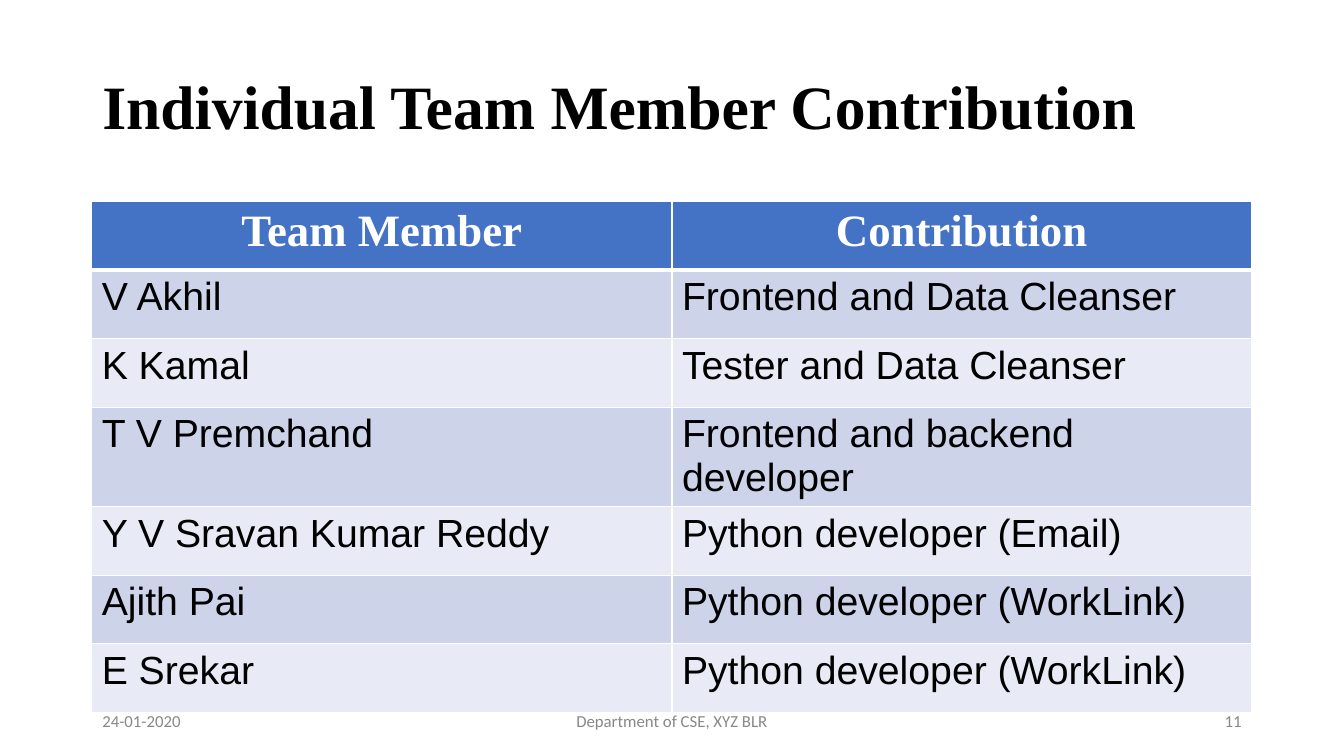
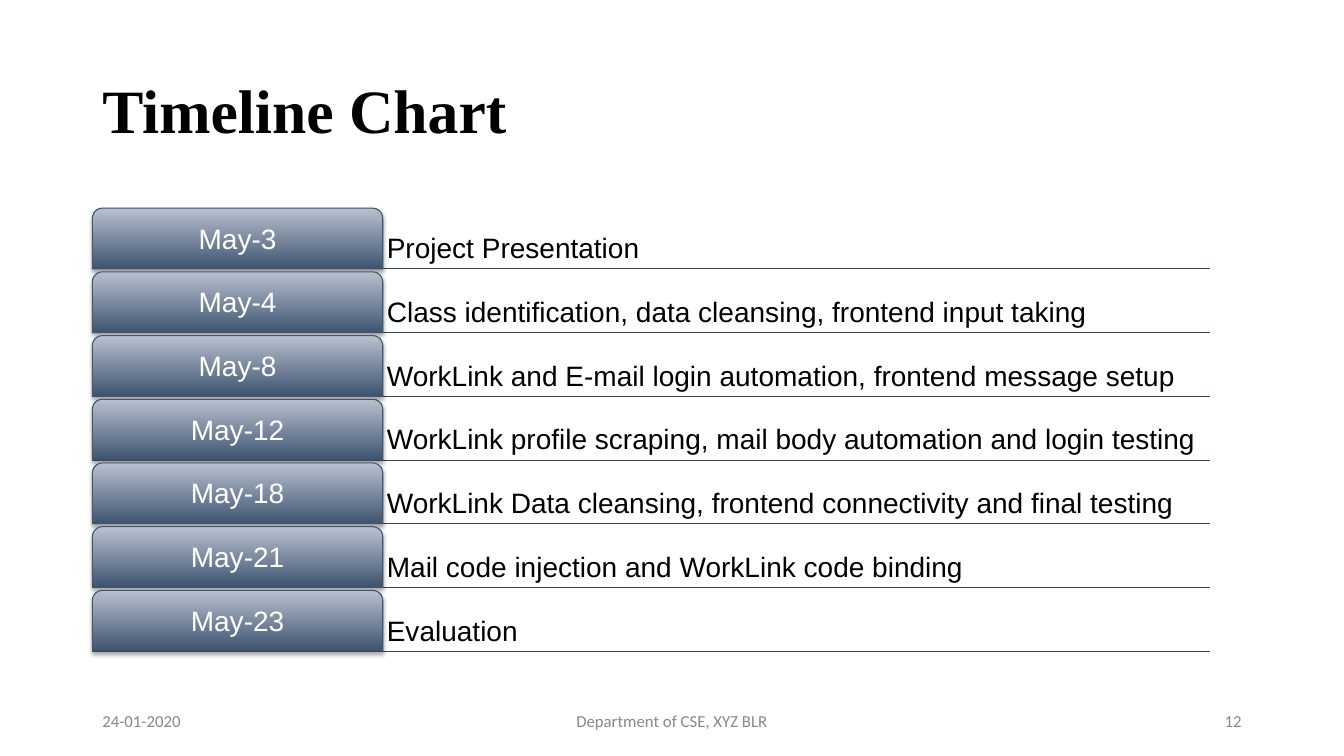
import pptx
import pptx.dml.color
import pptx.enum.dml
import pptx.enum.shapes
import pptx.enum.text
import pptx.oxml
import pptx.oxml.ns
import pptx.util
from dataclasses import dataclass

Pt = pptx.util.Pt
ALIGN = pptx.enum.text.PP_ALIGN
ANCHOR = pptx.enum.text.MSO_ANCHOR
SHAPE = pptx.enum.shapes.MSO_SHAPE
NS = pptx.oxml.ns.nsdecls("a")


@dataclass(frozen=True)
class Theme:
    black: str = "000000"
    white: str = "FFFFFF"
    grey: str = "888888"
    head: str = "4472C4"
    bands: tuple = ("CDD4EA", "E8EBF5")
    fade: tuple = ("3E5370", "B8C1CF")
    edge: str = "44546A"
    rule: str = "364355"
    serif: str = "Times New Roman"
    sans: str = "Arial"
    small: str = "Calibri"
    left: float = 66
    width: float = 828


THEME = Theme()
TITLE = {"name": THEME.serif, "size": Pt(44), "bold": True, "color": THEME.black}
HEAD = {"name": THEME.serif, "size": Pt(32), "bold": True, "color": THEME.white}
CELL = {"name": THEME.sans, "size": Pt(28), "bold": False, "color": THEME.black}
STEP = {"name": THEME.sans, "size": Pt(20), "color": THEME.black}
DATE = {**STEP, "color": THEME.white}
FOOT = {"name": THEME.small, "size": Pt(12), "color": THEME.grey}

TEAM = [
    ("Team Member", "Contribution"),
    ("V Akhil", "Frontend and Data Cleanser"),
    ("K Kamal", "Tester and Data Cleanser"),
    ("T V Premchand", "Frontend and backend developer"),
    ("Y V Sravan Kumar Reddy", "Python developer (Email)"),
    ("Ajith Pai", "Python developer (WorkLink)"),
    ("E Srekar", "Python developer (WorkLink)"),
]
STEPS = [
    ("May-3", "Project Presentation"),
    ("May-4", "Class identification, data cleansing, frontend input taking"),
    ("May-8", "WorkLink and E-mail login automation, frontend message setup"),
    ("May-12", "WorkLink profile scraping, mail body automation and login testing"),
    ("May-18", "WorkLink Data cleansing, frontend connectivity and final testing"),
    ("May-21", "Mail code injection and WorkLink code binding"),
    ("May-23", "Evaluation"),
]


def rgb(code):
    return pptx.dml.color.RGBColor.from_string(code)


def write(frame, text, style, align=ALIGN.LEFT, space=None):
    para = frame.paragraphs[0]
    para.alignment = align
    if space:
        para.line_spacing = space
    run = para.add_run()
    run.text = text
    for key, value in style.items():
        if key == "color":
            run.font.color.rgb = rgb(value)
        else:
            setattr(run.font, key, value)


def inset(frame, side, edge, anchor):
    """Set wrapping, side and edge margins (points) and the anchor."""
    form = {
        "word_wrap": True, "vertical_anchor": anchor,
        "margin_left": Pt(side), "margin_right": Pt(side),
        "margin_top": Pt(edge), "margin_bottom": Pt(edge),
    }
    for key, value in form.items():
        setattr(frame, key, value)


def add_text(slide, box, text, style, align=ALIGN.LEFT, space=None,
             margin=(7.2, 3.6), anchor=ANCHOR.MIDDLE):
    frame = slide.shapes.add_textbox(*map(Pt, box)).text_frame
    inset(frame, *margin, anchor)
    write(frame, text, style, align, space)


def add_foot(slide, page):
    right = THEME.left + THEME.width
    for left, width, text, align in (
        (THEME.left, 216, "24-01-2020", ALIGN.LEFT),
        (318, 324, "Department of CSE, XYZ BLR", ALIGN.CENTER),
        (right - 216, 216, str(page), ALIGN.RIGHT),
    ):
        add_text(slide, (left, 500.4, width, 28.8), text, FOOT, align)


def add_page(deck, title, top, page, fill):
    """Add a slide: title, the content drawn by fill, then the footer in front."""
    slide = deck.slides.add_slide(deck.slide_layouts[6])
    add_text(slide, (THEME.left, top, THEME.width, 104.4), title, TITLE, space=0.9)
    fill(slide)
    add_foot(slide, page)


def add_edge(cell, side, width):
    cell._tc.get_or_add_tcPr().append(pptx.oxml.parse_xml(
        f'<a:ln{side} {NS} w="{Pt(width)}"><a:solidFill>'
        f'<a:srgbClr val="{THEME.white}"/></a:solidFill></a:ln{side}>'))


def add_team(slide):
    high = 49
    table = slide.shapes.add_table(
        len(TEAM), 2, Pt(65.5), Pt(144), Pt(828.5), Pt(high * len(TEAM))).table
    for col, width in zip(table.columns, (414.5, 414)):
        col.width = Pt(width)
    for i, texts in enumerate(TEAM):
        table.rows[i].height = Pt(high)
        for j, text in enumerate(texts):
            cell = table.cell(i, j)
            cell.margin_bottom = Pt(0)
            for side in "LRTB":
                thick = (i, side) in ((0, "B"), (1, "T"))
                add_edge(cell, side, 3 if thick else 1)
            cell.fill.solid()
            cell.fill.fore_color.rgb = rgb(THEME.bands[(i - 1) % 2] if i else THEME.head)
            if i:
                write(cell.text_frame, text, CELL)
            else:
                write(cell.text_frame, text, HEAD, ALIGN.CENTER)


def add_rule(slide, left, right, y):
    kind = pptx.enum.shapes.MSO_CONNECTOR.STRAIGHT
    line = slide.shapes.add_connector(kind, Pt(left), Pt(y), Pt(right), Pt(y))
    line.line.color.rgb = rgb(THEME.rule)
    line.line.width = Pt(0.75)
    line._element.spPr.append(pptx.oxml.parse_xml(f"<a:effectLst {NS}/>"))


def add_tab(slide, box, text):
    """Add a date tab with a fade and a soft shadow below."""
    tab = slide.shapes.add_shape(SHAPE.ROUND_2_SAME_RECTANGLE, *map(Pt, box))
    tab.adjustments[0], tab.adjustments[1] = 0.167, 0
    tab.fill.gradient()
    tab.fill.gradient_angle = 90
    for stop, code, place in zip(tab.fill.gradient_stops, THEME.fade, (0, 1)):
        stop.color.rgb = rgb(code)
        stop.position = place
    tab.line.color.rgb = rgb(THEME.edge)
    tab.line.width = Pt(0.75)
    tab.shadow.inherit = False
    glow = tab._element.spPr.find(pptx.oxml.ns.qn("a:effectLst"))
    glow.append(pptx.oxml.parse_xml(
        f'<a:outerShdw {NS} blurRad="{Pt(3.1)}" dist="{Pt(1.8)}" dir="5400000" '
        f'rotWithShape="0"><a:srgbClr val="{THEME.black}">'
        '<a:alpha val="35000"/></a:srgbClr></a:outerShdw>'))
    inset(tab.text_frame, 2.9, 2.9, ANCHOR.MIDDLE)
    write(tab.text_frame, text, DATE, ALIGN.CENTER, 0.9)


def add_steps(slide):
    top, pitch, high, wide, right = 148.7, 45.5, 43.4, 207.4, 864
    split = THEME.left + wide
    for i, (date, text) in enumerate(STEPS):
        y = top + i * pitch
        add_rule(slide, THEME.left, right, y + high)
        add_tab(slide, (THEME.left, y, wide, high), date)
        add_text(slide, (split, y, right - split, high), text, STEP, space=0.9,
                 margin=(2.9, 2.9), anchor=ANCHOR.BOTTOM)


def main():
    deck = pptx.Presentation()
    deck.slide_width, deck.slide_height = Pt(960), Pt(540)
    add_page(deck, "Individual Team Member Contribution", 26, 11, add_team)
    add_page(deck, "Timeline Chart", 28.8, 12, add_steps)
    deck.save("out.pptx")


if __name__ == "__main__":
    main()
